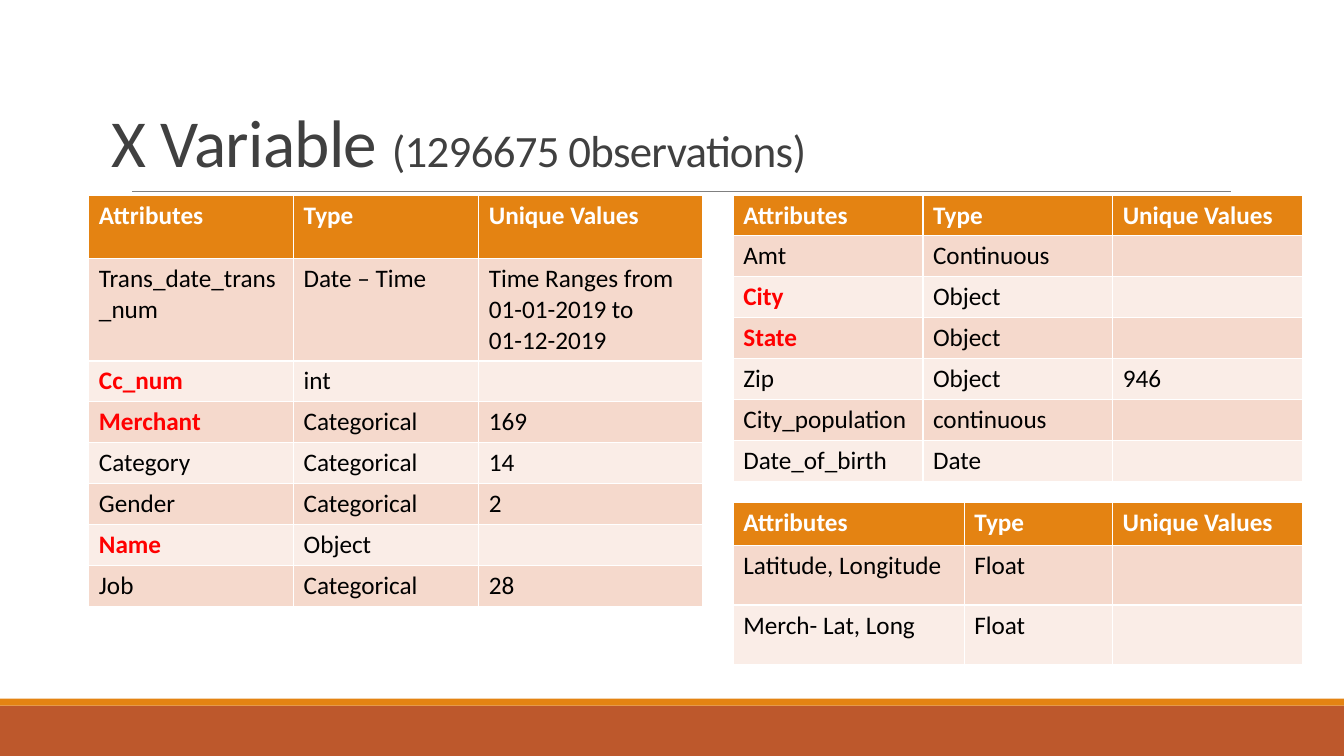
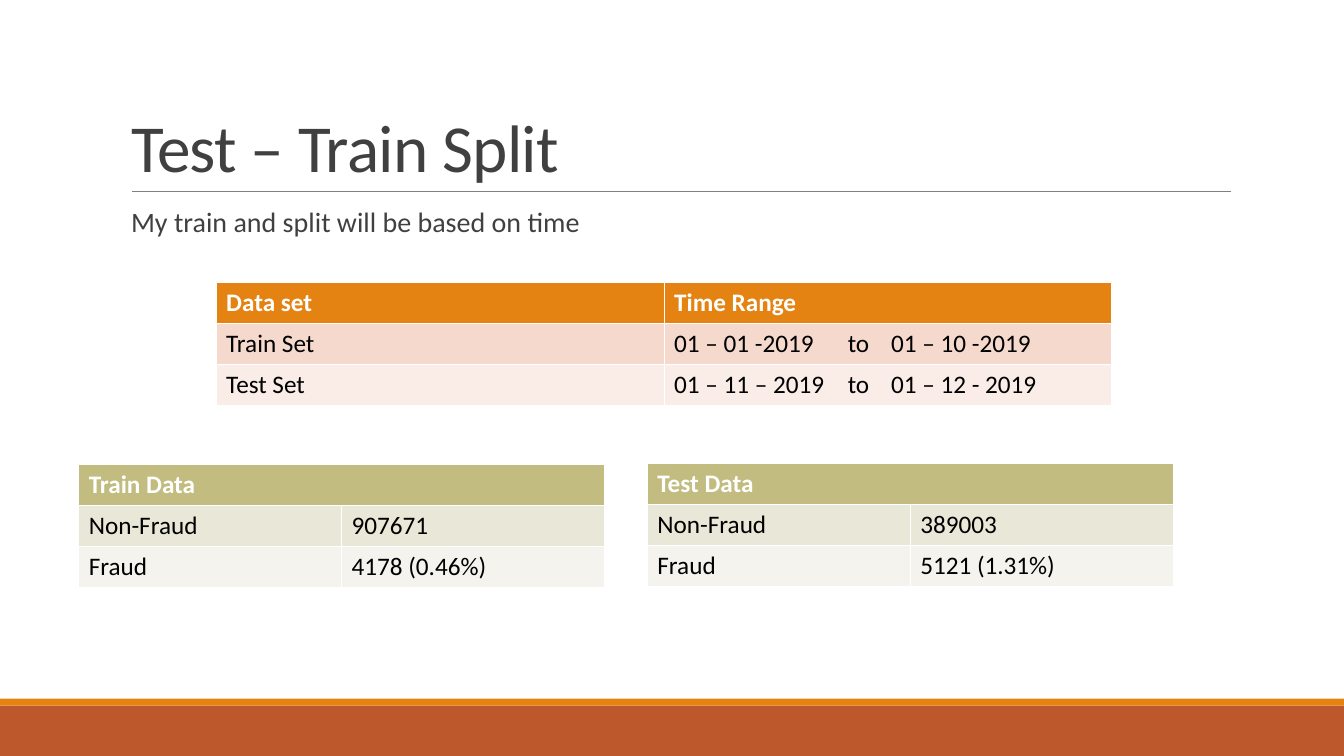
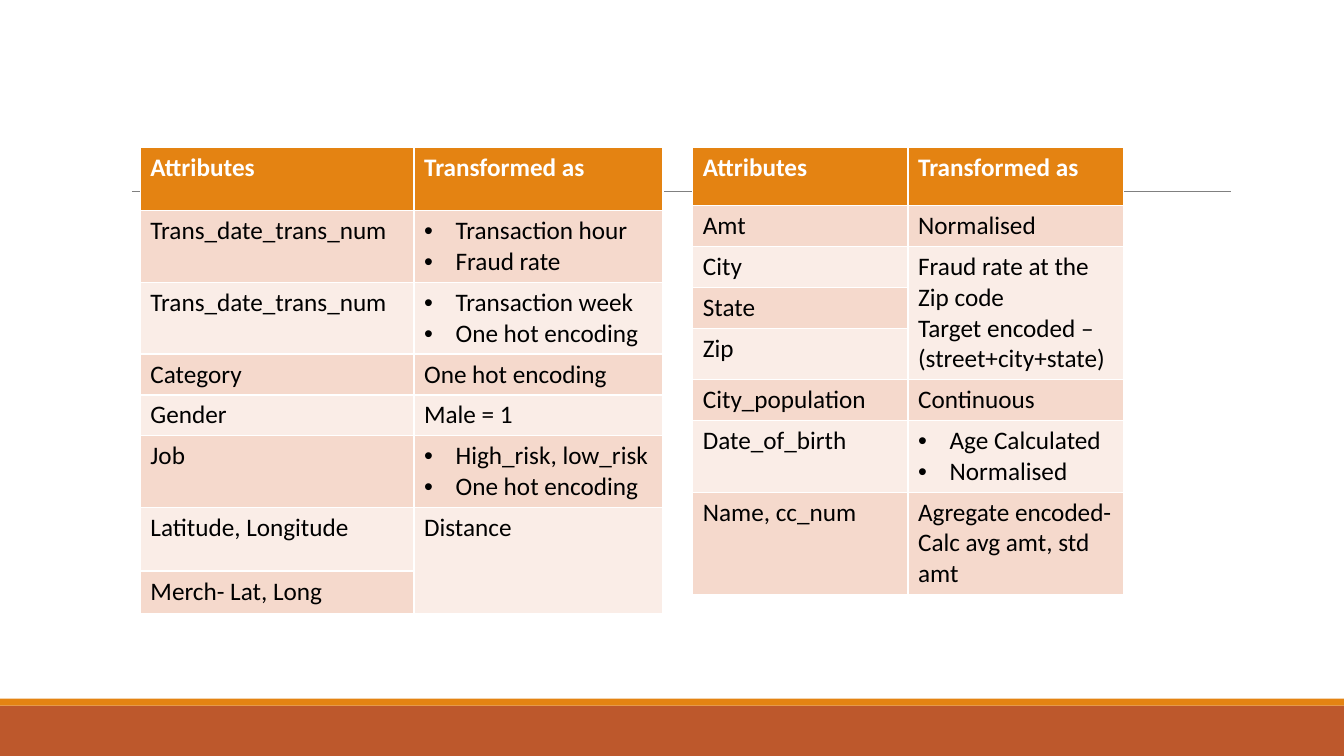
from lxml import etree
from pptx import Presentation
from pptx.dml.color import RGBColor
from pptx.enum import shapes, text
from pptx.oxml import ns
from pptx.util import Pt

WHITE = RGBColor(0xFF, 0xFF, 0xFF)
BLACK = RGBColor(0, 0, 0)
RED = RGBColor(0xFF, 0, 0)
DARK_GRAY = RGBColor(0x40, 0x40, 0x40)
RULE_GRAY = RGBColor(0x80, 0x80, 0x80)
RUST = RGBColor(0xBD, 0x58, 0x2C)
ORANGE = RGBColor(0xE4, 0x83, 0x12)
OLIVE = RGBColor(0xC2, 0xBC, 0x80)
ORANGE_FILLS = ORANGE, RGBColor(0xF5, 0xD9, 0xCC), RGBColor(0xFA, 0xED, 0xE7)
OLIVE_FILLS = OLIVE, RGBColor(0xE9, 0xE7, 0xD8), RGBColor(0xF4, 0xF3, 0xED)

FONT = "Calibri"
WIDTH, HEIGHT = 960, 540
ROW = 29.2
TWO_LINES = 51.2
BULLET_INDENT = 22.5
TITLE_ONLY, TITLE_AND_BODY, BLANK = 5, 1, 6


def add_child(parent, tag, **attributes):
    """Append a DrawingML element to a parent and return it."""
    return etree.SubElement(parent, ns.qn(tag), attributes)


def set_indent(paragraph, left, first=0, bullet=None):
    """Give a paragraph its indents and its bullet, or no bullet."""
    properties = paragraph._p.get_or_add_pPr()
    properties.set("marL", str(Pt(left)))
    properties.set("indent", str(Pt(first)))
    if bullet:
        add_child(properties, "a:buFont", typeface="Arial")
        add_child(properties, "a:buChar", char=bullet)
    else:
        add_child(properties, "a:buNone")


def set_tabs(paragraph, stops):
    """Give a paragraph left-aligned tab stops."""
    tabs = add_child(paragraph._p.get_or_add_pPr(), "a:tabLst")
    for stop in stops:
        add_child(tabs, "a:tab", pos=str(Pt(stop)), algn="l")


def set_font(font, size, color, bold=False):
    """Set typeface, size, colour and weight."""
    font.name = FONT
    font.size = Pt(size)
    font.bold = bold
    font.color.rgb = color


def place(shape, left, top, width, height):
    """Move and size a shape."""
    shape.left, shape.top = Pt(left), Pt(top)
    shape.width, shape.height = Pt(width), Pt(height)


def decorate_master(presentation, slide):
    """Put the bottom bands and the title rule on the slide master."""
    decorations = []
    for top, height, color in ((504, 36, RUST), (499, 5, ORANGE)):
        band = slide.shapes.add_shape(
            shapes.MSO_SHAPE.RECTANGLE, 0, Pt(top), Pt(WIDTH), Pt(height))
        band.shadow.inherit = False
        band.fill.solid()
        band.fill.fore_color.rgb = color
        band.line.fill.background()
        decorations.append(band)
    rule = slide.shapes.add_connector(
        shapes.MSO_CONNECTOR.STRAIGHT, Pt(94.3), Pt(136.8), Pt(879), Pt(136.8))
    rule.line.color.rgb = RULE_GRAY
    rule.line.width = Pt(0.5)
    add_child(rule.element.spPr, "a:effectLst")
    decorations.append(rule)
    tree = presentation.slide_master.shapes.element
    for position, shape in enumerate(decorations, start=2):
        tree.insert(position, shape.element)


def add_title(slide, left, top, title, detail=""):
    """Fill the title placeholder, with an optional smaller detail."""
    shape = slide.shapes.title
    place(shape, left, top, 792, 114.5)
    frame = shape.text_frame
    frame.auto_size = text.MSO_AUTO_SIZE.NONE
    frame.vertical_anchor = text.MSO_ANCHOR.BOTTOM
    paragraph = frame.paragraphs[0]
    paragraph.alignment = text.PP_ALIGN.LEFT
    paragraph.line_spacing = 0.85
    set_font(paragraph.font, 48, DARK_GRAY)
    for words, size in ((title, 48), (detail, 32)):
        if words:
            run = paragraph.add_run()
            run.text = words
            run.font.size = Pt(size)
            run.font._element.set("spc", "-50")


def add_body(slide, words):
    """Fill the body placeholder with one line."""
    shape = slide.placeholders[1]
    place(shape, 86.4, 145.4, 792, 316.8)
    frame = shape.text_frame
    frame.auto_size = text.MSO_AUTO_SIZE.NONE
    frame.margin_left = frame.margin_right = 0
    frame.text = words
    paragraph = frame.paragraphs[0]
    paragraph.line_spacing = 0.9
    paragraph.space_before, paragraph.space_after = Pt(12), Pt(2)
    set_indent(paragraph, 7.2)
    set_font(paragraph.font, 20, DARK_GRAY)


def fill_cell(cell, content, fill, color, bold, tabs):
    """Write a cell; a tuple becomes a bulleted list."""
    cell.fill.solid()
    cell.fill.fore_color.rgb = fill
    bulleted = isinstance(content, tuple)
    cell.text = "\n".join(content) if bulleted else content
    for paragraph in cell.text_frame.paragraphs:
        if bulleted:
            set_indent(paragraph, BULLET_INDENT, -BULLET_INDENT, "•")
        if "\t" in content:
            set_tabs(paragraph, tabs)
        set_font(paragraph.font, 18, color, bold)


def add_table(slide, left, top, widths, heights, rows,
              fills=ORANGE_FILLS, red=(), merges=(), tabs=()):
    """Add a table with a header row, banded rows and merged ranges."""
    frame = slide.shapes.add_table(
        len(rows), len(widths), Pt(left), Pt(top), Pt(sum(widths)), Pt(sum(heights)))
    table = frame.table
    for column, width in zip(table.columns, widths):
        column.width = Pt(width)
    for row, height in zip(table.rows, heights):
        row.height = Pt(height)
    header, odd, even = fills
    for i, row in enumerate(rows):
        fill = header if i == 0 else odd if i % 2 else even
        for j, content in enumerate(row):
            marked = content in red
            color = WHITE if i == 0 else RED if marked else BLACK
            fill_cell(table.cell(i, j), content, fill, color, i == 0 or marked, tabs)
    for first, last in merges:
        table.cell(*first).merge(table.cell(*last))


def build_variables(slide):
    """Build the slide that lists the variables."""
    add_title(slide, 72.7, 18.7, "X Variable ", "(1296675 0bservations)")
    header = ("Attributes", "Type", "Unique Values")
    add_table(slide, 63.5, 139.3, (146.2, 132.3, 160), [45.4, 73] + [ROW] * 6, [
        header,
        ("Trans_date_trans_num", "Date – Time",
         "Time Ranges from 01-01-2019 to\n01-12-2019"),
        ("Cc_num", "int", ""),
        ("Merchant", "Categorical", "169"),
        ("Category", "Categorical", "14"),
        ("Gender", "Categorical", "2"),
        ("Name", "Object", ""),
        ("Job", "Categorical", "28"),
    ], red=("Cc_num", "Merchant", "Name"))
    add_table(slide, 523.8, 139.3, [135.5] * 3, [ROW] * 7, [
        header,
        ("Amt", "Continuous", ""),
        ("City", "Object", ""),
        ("State", "Object", ""),
        ("Zip", "Object", "946"),
        ("City_population", "continuous", ""),
        ("Date_of_birth", "Date", ""),
    ], red=("City", "State"))
    add_table(slide, 523.8, 358.9, (165, 106, 135.5), (30.8, 42.5, 42.5), [
        header,
        ("Latitude, Longitude", "Float", ""),
        ("Merch- Lat, Long", "Float", ""),
    ])


def build_split(slide):
    """Build the slide on the test and train split."""
    add_title(slide, 86.4, 22.3, "Test – Train Split")
    add_body(slide, "My train and split will be based on time")
    add_table(slide, 154.4, 201.8, [320] * 2, [ROW] * 3, [
        ("Data set", "Time Range"),
        ("Train Set", "01 – 01 -2019\tto\t01 – 10 -2019"),
        ("Test Set", "01 – 11 – 2019\tto\t01 – 12 - 2019"),
    ], tabs=(124, 155))
    for left, top, name, normal, fraud in (
            (56.2, 331.9, "Train Data", "907671", "4178 (0.46%)"),
            (462.4, 331.2, "Test Data", "389003", "5121 (1.31%)")):
        add_table(slide, left, top, [187.8] * 2, [ROW] * 3, [
            (name, ""),
            ("Non-Fraud", normal),
            ("Fraud", fraud),
        ], fills=OLIVE_FILLS, merges=[((0, 0), (0, 1))])


def build_transformations(slide):
    """Build the slide on how attributes are transformed."""
    header = ("Attributes", "Transformed as")
    add_table(slide, 100.3, 105.1, (195.5, 177.8),
              (45.4, TWO_LINES, TWO_LINES, ROW, ROW, TWO_LINES, 45.4, 30.8), [
        header,
        ("Trans_date_trans_num", ("Transaction hour", "Fraud rate")),
        ("Trans_date_trans_num", ("Transaction week", "One hot encoding")),
        ("Category", "One hot encoding"),
        ("Gender", "Male = 1"),
        ("Job", ("High_risk, low_risk", "One hot encoding")),
        ("Latitude, Longitude", "Distance"),
        ("Merch- Lat, Long", ""),
    ], merges=[((6, 1), (7, 1))])
    add_table(slide, 494.9, 105.1, [153.7] * 2, [41.8] + [ROW] * 7, [
        header,
        ("Amt", "Normalised"),
        ("City", "Fraud rate at the Zip code\nTarget encoded – (street+city+state)"),
        ("State", ""),
        ("Zip", ""),
        ("City_population", "Continuous"),
        ("Date_of_birth", ("Age Calculated", "Normalised")),
        ("Name, cc_num", "Agregate encoded-\nCalc avg amt, std amt"),
    ], merges=[((2, 1), (4, 1))])


def main():
    """Build and save the presentation."""
    presentation = Presentation()
    presentation.slide_width, presentation.slide_height = Pt(WIDTH), Pt(HEIGHT)
    variables, split, transformations = (
        presentation.slides.add_slide(presentation.slide_layouts[layout])
        for layout in (TITLE_ONLY, TITLE_AND_BODY, BLANK))
    decorate_master(presentation, variables)
    build_variables(variables)
    build_split(split)
    build_transformations(transformations)
    presentation.save("out.pptx")


if __name__ == "__main__":
    main()
